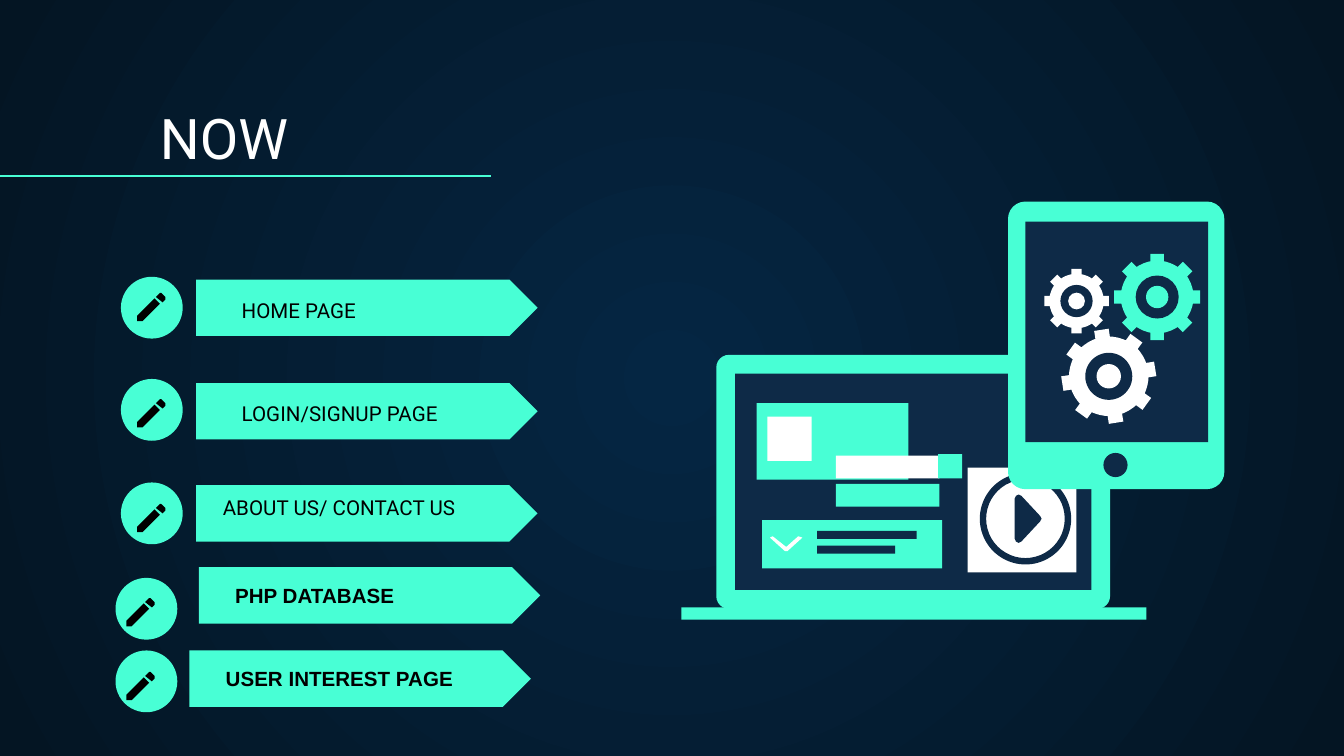
"""Build a dark slide with labelled page arrows beside a laptop and a tablet."""
import math

from lxml import etree
from pptx import Presentation
from pptx import util as u
from pptx.dml import color as col
from pptx.enum import shapes, text
from pptx.oxml import ns

MINT, NAVY, WHITE, BLACK = "48FFD5", "0E2A47", "FFFFFF", "000000"
KIND = shapes.MSO_SHAPE
PENCIL = [
    [(0.17, 0), (0.14, 0.03), (0.19, 0.07), (0.21, 0.05), (0.21, 0.03), (0.18, 0)],
    [(0.13, 0.04), (0, 0.17), (0, 0.21), (0.04, 0.21), (0.17, 0.08)],
]
TICK = [[(0.02, 0), (0.12, 0.08), (0.21, 0), (0.24, 0.01), (0.23, 0.02),
         (0.13, 0.11), (0.11, 0.11), (0.01, 0.02), (0, 0.01)]]
PLAY = [[(0.03, 0), (0.01, 0.01), (0, 0.03), (0, 0.33), (0.01, 0.35), (0.03, 0.36),
         (0.05, 0.35), (0.19, 0.2), (0.2, 0.18), (0.19, 0.16), (0.05, 0.01)]]
PANELS = [
    (5.47, 2.78, 2.65, 1.61, NAVY),
    (5.07, 4.52, 3.46, 0.09, MINT),
    (5.63, 3, 1.13, 0.57, MINT),
    (5.71, 3.1, 0.33, 0.33, WHITE),
    (5.67, 3.87, 1.34, 0.36, MINT),
    (6.08, 3.95, 0.74, 0.06, NAVY),
    (6.08, 4.06, 0.58, 0.06, NAVY),
    (6.22, 3.6, 0.77, 0.17, MINT),
    (6.22, 3.39, 0.77, 0.17, WHITE),
    (6.98, 3.38, 0.18, 0.18, MINT),
    (7.2, 3.48, 0.81, 0.78, WHITE),
]
GEARS = [(8.61, 2.21, 0.32, 0, MINT), (8.01, 2.24, 0.24, 0, WHITE),
         (8.25, 2.8, 0.35, -9, WHITE)]
ARROWS = [(1.46, 2.08), (1.46, 2.85), (1.46, 3.61), (1.48, 4.22), (1.41, 4.84)]
DISCS = [(0.9, 2.06), (0.9, 2.82), (0.9, 3.59), (0.86, 4.3), (0.86, 4.84)]
PENS = [(1.02, 2.18), (1.02, 2.97), (1.02, 3.75), (0.94, 4.45), (0.94, 5)]
LABELS = [("HOME PAGE", 1.7, 2.29), ("LOGIN/SIGNUP PAGE", 1.7, 3.06),
          ("ABOUT US/ CONTACT US", 1.56, 3.76)]
BOLD = ["PHP DATABASE", "USER INTEREST PAGE"]


def rgb(code):
    """Turn a hex string into a colour."""
    return col.RGBColor.from_string(code)


def paint(shape, code):
    """Give a shape a flat fill with no outline or shadow."""
    shape.shadow.inherit = False
    shape.fill.solid()
    shape.fill.fore_color.rgb = rgb(code)
    shape.line.fill.background()
    return shape


def block(slide, kind, box, code, adj=None):
    """Add a filled preset shape."""
    shape = paint(slide.shapes.add_shape(kind, *map(u.Inches, box)), code)
    if adj is not None:
        shape.adjustments[0] = adj
    return shape


def disc(slide, x, y, rad, code):
    """Add a circle around a centre."""
    return block(slide, KIND.OVAL, (x - rad, y - rad, 2 * rad, 2 * rad), code)


def outline(slide, loops, x, y, code):
    """Add a filled outline from closed loops of points."""
    loops = [[(u.Inches(x + a), u.Inches(y + b)) for a, b in loop] for loop in loops]
    pen = slide.shapes.build_freeform(*loops[0][0])
    for i, loop in enumerate(loops):
        if i:
            pen.move_to(*loop[0])
        pen.add_line_segments(loop[1:], close=True)
    return paint(pen.convert_to_shape(), code)


def gear(slide, x, y, rad, turn, code):
    """Add a gear with eight teeth, a ring and a hub."""
    half, rim = 0.156 * rad, 0.845 * rad
    neck = math.sqrt(rim ** 2 - half ** 2)
    tooth = [(-half, neck), (-half, rad), (half, rad), (half, neck)]
    for deg in (15, 22.5, 30):
        ang = math.radians(deg)
        tooth.append((rim * math.sin(ang), rim * math.cos(ang)))
    points = []
    for i in range(8):
        ang = math.radians(45 * i + turn)
        sin, cos = math.sin(ang), math.cos(ang)
        points += [(a * cos + b * sin, a * sin - b * cos) for a, b in tooth]
    outline(slide, [points], x, y, code)
    disc(slide, x, y, rad / 2, NAVY)
    disc(slide, x, y, 0.26 * rad, code)


def write(shape, words, anchor, left=0.1, **style):
    """Put one left-aligned line of styled text in a shape."""
    frame = shape.text_frame
    form = {"word_wrap": True, "auto_size": text.MSO_AUTO_SIZE.NONE,
            "vertical_anchor": anchor, "margin_left": u.Inches(left)}
    form.update({f"margin_{side}": u.Inches(0.1) for side in ("right", "top", "bottom")})
    for key, val in form.items():
        setattr(frame, key, val)
    para = frame.paragraphs[0]
    para.text = words
    para.alignment = text.PP_ALIGN.LEFT
    code = style.pop("code", BLACK)
    for key, val in {"name": "Roboto", "size": u.Pt(11), **style}.items():
        setattr(para.font, key, val)
    para.font.color.rgb = rgb(code)


def backdrop(slide):
    """Fill the background with a round gradient."""
    fill = slide.background.fill
    fill.gradient()
    for stop, code in zip(fill.gradient_stops, ("052643", "041523")):
        stop.color.rgb = rgb(code)
    grad = slide.element.find(".//" + ns.qn("a:gradFill"))
    line = grad.find(ns.qn("a:lin"))
    if line is not None:
        grad.remove(line)
    halo = etree.SubElement(grad, ns.qn("a:path"))
    halo.set("path", "circle")
    rect = etree.SubElement(halo, ns.qn("a:fillToRect"))
    for side in "ltrb":
        rect.set(side, "50000")


def heading(slide):
    """Set the title and the rule under it."""
    title = slide.shapes.title
    box = {"left": 1.09, "top": 0.71, "width": 8.57, "height": 0.66}
    for key, val in box.items():
        setattr(title, key, u.Inches(val))
    write(title, "NOW", text.MSO_ANCHOR.BOTTOM, size=u.Pt(30), code=WHITE)
    ends = map(u.Inches, (0, 1.31, 3.65, 1.31))
    rule = slide.shapes.add_connector(shapes.MSO_CONNECTOR.STRAIGHT, *ends)
    rule.line.color.rgb = rgb(MINT)
    rule.line.width = u.Pt(0.75)
    etree.SubElement(rule.element.spPr, ns.qn("a:effectLst"))


def menu(slide):
    """Add the arrows with their pencils and labels."""
    tags = []
    for arrow, spot, pen in zip(ARROWS, DISCS, PENS):
        tags.append(block(slide, KIND.PENTAGON, (*arrow, 2.54, 0.42), MINT, 0.5))
        block(slide, KIND.OVAL, (*spot, 0.46, 0.46), MINT)
        outline(slide, PENCIL, *pen, BLACK)
    for words, x, y in LABELS:
        box = slide.shapes.add_textbox(*map(u.Inches, (x, y, 2.27, 0.21)))
        write(box, words, text.MSO_ANCHOR.BOTTOM)
    for tag, words in zip(tags[3:], BOLD):
        write(tag, words, text.MSO_ANCHOR.MIDDLE, 0.27, name="Arial", bold=True)


def laptop(slide):
    """Draw the laptop and the page on its screen."""
    block(slide, KIND.ROUNDED_RECTANGLE, (5.33, 2.64, 2.93, 1.89), MINT, 0.05)
    for *box, code in PANELS:
        block(slide, KIND.RECTANGLE, box, code)
    outline(slide, TICK, 5.73, 3.99, WHITE)
    block(slide, KIND.DONUT, (7.29, 3.52, 0.68, 0.68), NAVY, 0.07)
    outline(slide, PLAY, 7.55, 3.68, NAVY)


def tablet(slide):
    """Draw the tablet with its gears."""
    block(slide, KIND.ROUNDED_RECTANGLE, (7.5, 1.5, 1.61, 2.14), MINT, 0.08)
    block(slide, KIND.RECTANGLE, (7.63, 1.65, 1.36, 1.64), NAVY)
    disc(slide, 8.3, 3.46, 0.09, NAVY)
    for wheel in GEARS:
        gear(slide, *wheel)


def main():
    """Build and save the slide."""
    deck = Presentation()
    deck.slide_width = u.Inches(10)
    deck.slide_height = u.Inches(10 * 9 / 16)
    slide = deck.slides.add_slide(deck.slide_layouts[5])
    for part in (backdrop, heading, menu, laptop, tablet):
        part(slide)
    deck.save("out.pptx")


if __name__ == "__main__":
    main()
